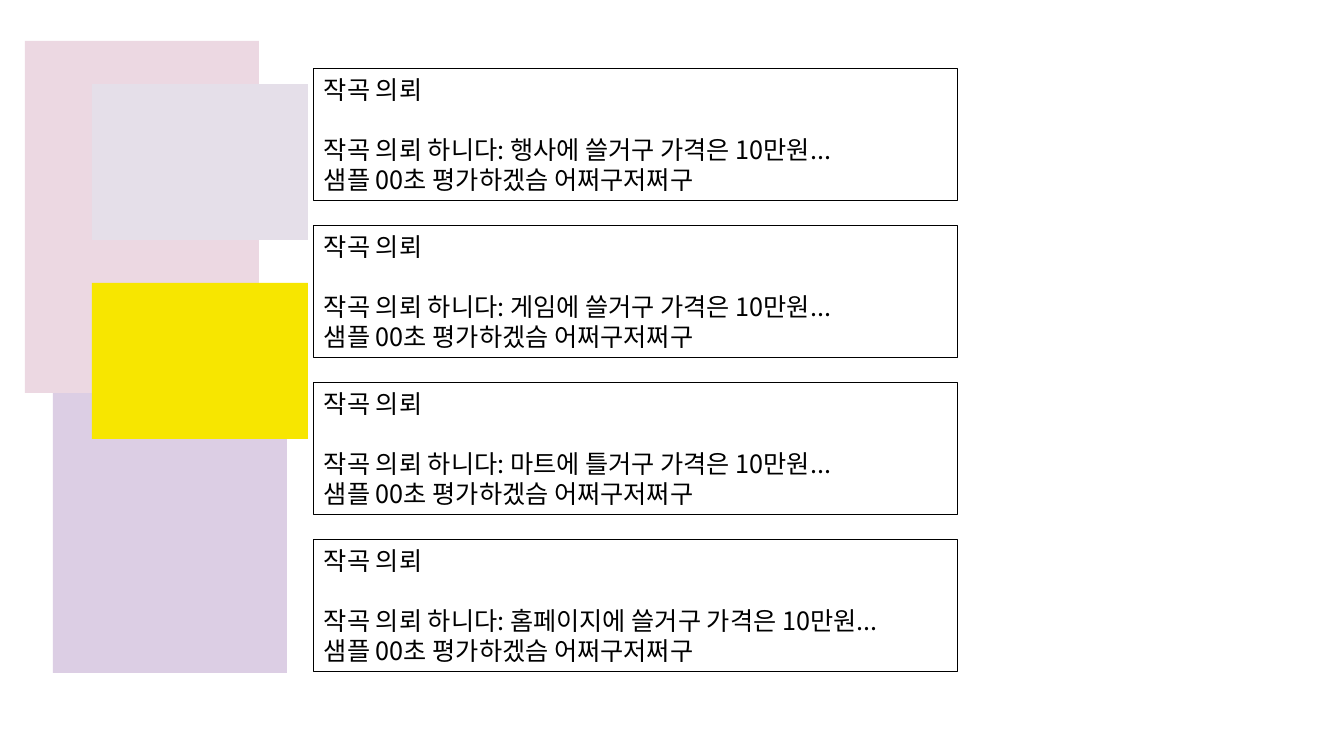
"""Build a slide of four composition requests beside overlapping colour blocks."""
from lxml.etree import SubElement
from pptx import Presentation
from pptx.dml.color import RGBColor
from pptx.enum.shapes import MSO_SHAPE
from pptx.enum.text import MSO_AUTO_SIZE
from pptx.oxml.ns import qn
from pptx.util import Pt

PX = 914400 / 100.8
FONT = "Noto Sans CJK KR"
COLORS = {
    "black": "000000",
    "lilac": "DCCEE4",
    "pink": "ECD8E2",
    "yellow": "F7E600",
    "mist": "E5DFE9",
}


def px(*lengths):
    return [round(n * PX) for n in lengths]


prs = Presentation()
prs.slide_width, prs.slide_height = px(1344, 756)
s = prs.slides.add_slide(prs.slide_layouts[6])

uses = ["행사에 쓸거구", "게임에 쓸거구", "마트에 틀거구", "홈페이지에 쓸거구"]
for i, use in enumerate(uses):
    sp = s.shapes.add_textbox(*px(314, 69 + 157 * i, 644, 132))
    sp.line.color.rgb = RGBColor.from_string(COLORS["black"])
    sp.line.width = Pt(0.75)
    tf = sp.text_frame
    tf.word_wrap = True
    tf.auto_size = MSO_AUTO_SIZE.SHAPE_TO_FIT_TEXT
    tf.text = f"작곡 의뢰\n작곡 의뢰 하니다: {use} 가격은 10만원...\n샘플 00초 평가하겠슴 어쩌구저쩌구"
    for p in tf.paragraphs:
        p.font.size = Pt(18)
        p.font.name = FONT
        p.font.color.rgb = RGBColor.from_string(COLORS["black"])
        SubElement(p.font._element, qn("a:ea"), typeface=FONT)
    tf.paragraphs[0].space_after = Pt(21.6)

blocks = [
    ("lilac", 53, 321, 234, 352),
    ("pink", 25, 41, 234, 352),
    ("yellow", 92, 283, 216, 156),
    ("mist", 92, 84, 216, 156),
]
for color, *box in blocks:
    sp = s.shapes.add_shape(MSO_SHAPE.RECTANGLE, *px(*box))
    sp.shadow.inherit = False
    sp.fill.solid()
    sp.fill.fore_color.rgb = RGBColor.from_string(COLORS[color])
    sp.line.fill.background()

prs.save("out.pptx")
